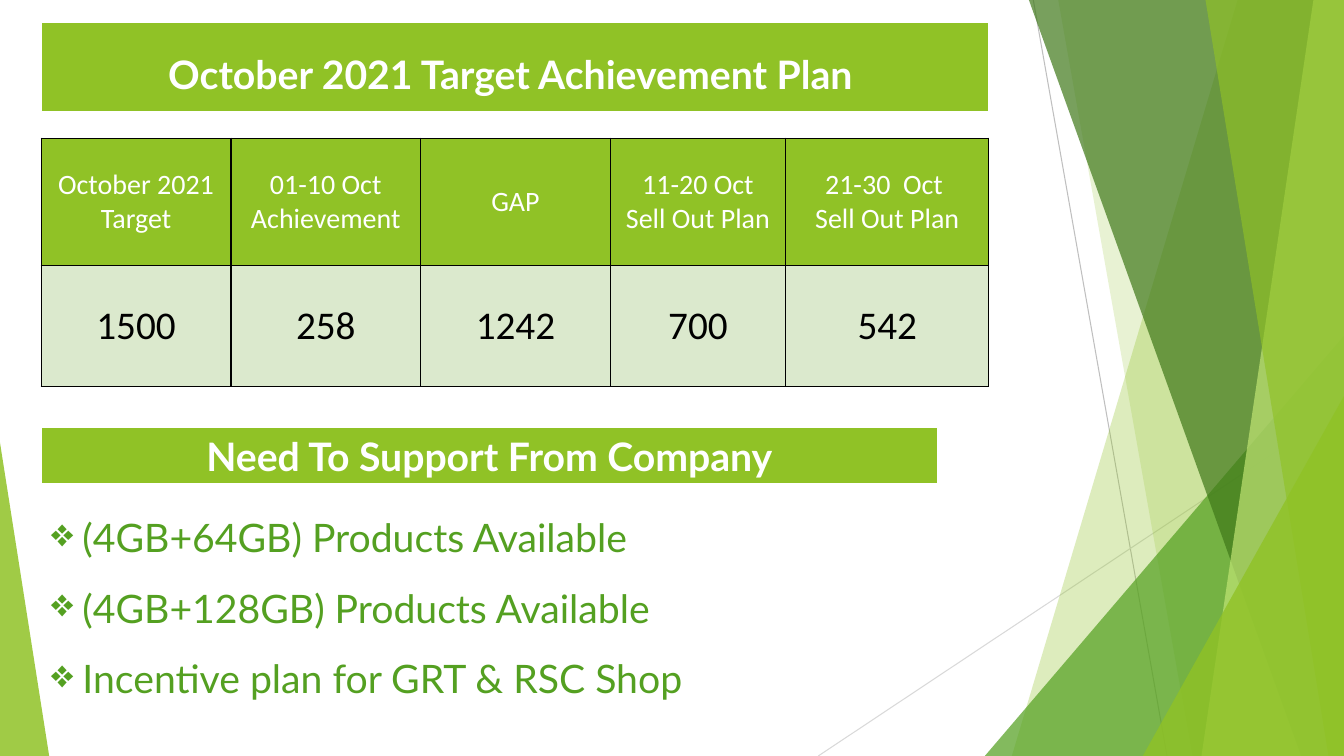
from lxml.etree import SubElement
from pptx import Presentation
from pptx.dml.color import RGBColor
from pptx.enum.shapes import MSO_CONNECTOR, MSO_SHAPE
from pptx.enum.text import MSO_ANCHOR, PP_ALIGN
from pptx.oxml.ns import qn
from pptx.util import Cm, Pt

COLORS = {
    "lime": "90C226", "green": "54A021", "forest": "3F7819", "pale": "C0E474",
    "mint": "DBE9CD", "white": "FFFFFF", "black": "000000",
    "grey": "BFBFBF", "light grey": "D9D9D9",
}
WIDTH, HEIGHT = 33.87, 19.05
LEFT = 1.04

TITLE = "October 2021 Target Achievement Plan "
SUPPORT = "Need To Support From Company"
# Each column: header lines, value, width
PLAN = [
    (["October 2021 Target"], "1500", 4.78),
    (["01-10 Oct Achievement"], "258", 4.78),
    (["GAP"], "1242", 4.78),
    (["11-20 Oct", "Sell Out Plan"], "700", 4.42),
    (["21-30  Oct ", "Sell Out Plan"], "542", 5.12),
]
PLAN_ROWS = [3.2, 3.05]
REQUESTS = [
    "(4GB+64GB) Products Available",
    "(4GB+128GB) Products Available",
    "Incentive plan for GRT & RSC Shop",
]

# Start x, start y, end x, end y, colour
THIN_LINES = [
    (26.04, 0, 29.41, HEIGHT, "grey"),
    (WIDTH, 10.24, 20.62, HEIGHT, "light grey"),
]
# Bands reach the right edge: top x, bottom x, colour, opacity
# Corners are right triangles: left, top, width, peak, colour, opacity
FACETS = [
    ("band", 31.19, 25.5, "lime", 30),
    ("band", 26.67, 30.05, "lime", 20),
    ("corner", 24.82, 8.46, 9.05, 1, "green", 72),
    ("band", 25.93, 32.79, "forest", 70),
    ("band", 33.1, 30.28, "pale", 70),
    ("band", 30.38, 33.48, "lime", 65),
    ("corner", 28.8, 9.98, 5.07, 1, "lime", 80),
    ("corner", 0, 11.15, 1.24, 0, "lime", 85),
]


def rgb(name):
    return RGBColor.from_string(COLORS[name])


def add_line(page, x1, y1, x2, y2, color):
    line = page.shapes.add_connector(
        MSO_CONNECTOR.STRAIGHT, Cm(x1), Cm(y1), Cm(x2), Cm(y2))
    line.line.color.rgb = rgb(color)
    line.line.width = Pt(0.75)
    SubElement(line._element.spPr, qn("a:effectLst"))


def paint(shape, color, opacity):
    shape.shadow.inherit = False
    shape.line.fill.background()
    shape.fill.solid()
    shape.fill.fore_color.rgb = rgb(color)
    tone = shape._element.spPr.find(qn("a:solidFill"))[0]
    SubElement(tone, qn("a:alpha"), val=str(opacity * 1000))


def add_band(page, top_x, bottom_x, color, opacity):
    outline = page.shapes.build_freeform(Cm(top_x), 0)
    corners = [(WIDTH, 0), (WIDTH, HEIGHT), (bottom_x, HEIGHT)]
    outline.add_line_segments([(Cm(x), Cm(y)) for x, y in corners])
    paint(outline.convert_to_shape(), color, opacity)


def add_corner(page, left, top, width, peak, color, opacity):
    shape = page.shapes.add_shape(
        MSO_SHAPE.ISOSCELES_TRIANGLE,
        Cm(left), Cm(top), Cm(width), Cm(HEIGHT - top))
    shape.adjustments[0] = peak
    paint(shape, color, opacity)


def write(frame, lines, size, font, color, bold=False, align=PP_ALIGN.CENTER, spacing=None):
    for index, line in enumerate(lines):
        para = frame.paragraphs[0] if index == 0 else frame.add_paragraph()
        para.alignment = align
        para.line_spacing = spacing
        span = para.add_run()
        span.text = line
        span.font.size = Pt(size)
        span.font.name = font
        span.font.bold = bold
        span.font.color.rgb = rgb(color)


def style_cell(cell, fill, border, bottom=1):
    cell.fill.solid()
    cell.fill.fore_color.rgb = rgb(fill)
    properties = cell._tc.get_or_add_tcPr()
    for index, side in enumerate("LRTB"):
        width = bottom if side == "B" else 1
        edge = SubElement(properties, qn("a:ln" + side), w=str(Pt(width)))
        solid = SubElement(edge, qn("a:solidFill"))
        SubElement(solid, qn("a:srgbClr"), val=COLORS[border])
        properties.insert(index, edge)


def add_table(page, top, widths, heights):
    table = page.shapes.add_table(
        len(heights), len(widths), Cm(LEFT), Cm(top),
        Cm(sum(widths)), Cm(sum(heights))).table
    table.first_row = table.horz_banding = False
    for column, width in zip(table.columns, widths):
        column.width = Cm(width)
    for row, height in zip(table.rows, heights):
        row.height = Cm(height)
    return table


def add_banner(page, text, top, width, height, spacing=None):
    cell = add_table(page, top, [width], [height]).cell(0, 0)
    style_cell(cell, "lime", "white", bottom=3)
    write(cell.text_frame, [text], 28, "Lato", "white", bold=True, spacing=spacing)


def add_plan(page):
    table = add_table(page, 3.48, [width for _, _, width in PLAN], PLAN_ROWS)
    for column, (header, value, _) in enumerate(PLAN):
        rows = [(header, 20, "white", "lime"), ([value], 28, "black", "mint")]
        for row, (lines, size, color, fill) in enumerate(rows):
            cell = table.cell(row, column)
            cell.vertical_anchor = MSO_ANCHOR.MIDDLE
            cell.margin_left = cell.margin_right = cell.margin_top = Cm(0.03)
            cell.margin_bottom = 0
            style_cell(cell, fill, "black")
            write(cell.text_frame, lines, size, "Calibri", color)


def add_requests(page):
    box = page.shapes.add_textbox(Cm(LEFT), Cm(12.22), Cm(16.84), Cm(6.83))
    frame = box.text_frame
    frame.word_wrap = True
    write(frame, REQUESTS, 28, "Lato", "green", align=PP_ALIGN.LEFT, spacing=1.5)
    for para in frame.paragraphs:
        properties = para._p.get_or_add_pPr()
        properties.set("marL", str(Cm(0.79)))
        properties.set("indent", str(Cm(-0.79)))
        SubElement(properties, qn("a:buChar"), char="❖")


def main():
    deck = Presentation()
    deck.slide_width, deck.slide_height = Cm(WIDTH), Cm(HEIGHT)
    page = deck.slides.add_slide(deck.slide_layouts[6])
    for line in THIN_LINES:
        add_line(page, *line)
    for kind, *facet in FACETS:
        add_facet = add_band if kind == "band" else add_corner
        add_facet(page, *facet)
    add_banner(page, TITLE, 0.56, 23.88, 2.29, spacing=1.5)
    add_plan(page)
    add_banner(page, SUPPORT, 10.77, 22.58, 1.32)
    add_requests(page)
    deck.save("out.pptx")


if __name__ == "__main__":
    main()
